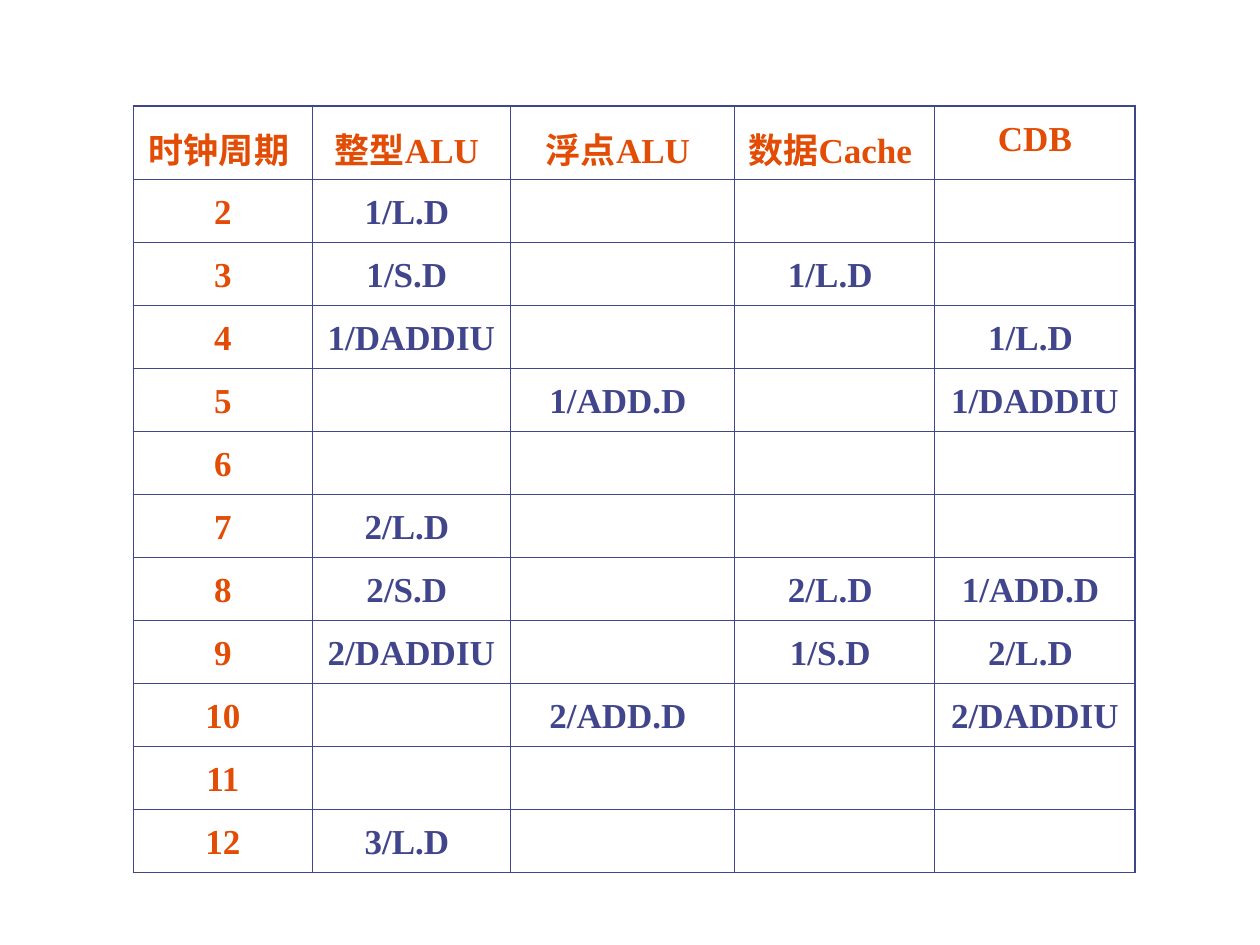
import pptx
import pptx.util
import pptx.dml.color
import pptx.enum.text
import pptx.oxml
import pptx.oxml.ns

HUES = {"label": "E24C05", "entry": "40458C", "line": "40458C"}
FONT = "Times New Roman"
COLS = [1.42, 1.57, 1.78, 1.59, 1.59]
ROW = 0.5
LEFT, TOP = 1.06, 0.84
THIN, THICK = 0.45, 1.08
HEADS = ["时钟周期 ", "整型ALU ", "浮点ALU ", "数据Cache ", "CDB"]
CYCLES = [
    ["2", "1/L.D ", "", "", ""],
    ["3", "1/S.D ", "", "1/L.D ", ""],
    ["4", "1/DADDIU ", "", "", "1/L.D "],
    ["5", "", "1/ADD.D ", "", "1/DADDIU "],
    ["6", "", "", "", ""],
    ["7", "2/L.D ", "", "", ""],
    ["8", "2/S.D ", "", "2/L.D ", "1/ADD.D "],
    ["9", "2/DADDIU ", "", "1/S.D ", "2/L.D "],
    ["10", "", "2/ADD.D ", "", "2/DADDIU "],
    ["11", "", "", "", ""],
    ["12", "3/L.D ", "", "", ""],
]


def write(frame, text, size=20, hue="entry", bold=True):
    para = frame.paragraphs[0]
    para.alignment = pptx.enum.text.PP_ALIGN.CENTER
    para.line_spacing = 1.2
    para.space_before = pptx.util.Pt(5)
    run = para.add_run()
    run.text = text
    run.font.name = FONT
    run.font.size = pptx.util.Pt(size)
    run.font.bold = bold
    run.font.color.rgb = pptx.dml.color.RGBColor.from_string(HUES[hue])


def edge(cell, widths):
    props = cell._tc.get_or_add_tcPr()
    for spot, (side, width) in enumerate(widths.items()):
        line = pptx.oxml.parse_xml(
            f'<a:ln{side} {pptx.oxml.ns.nsdecls("a")} w="{pptx.util.Pt(width)}">'
            f'<a:solidFill><a:srgbClr val="{HUES["line"]}"/></a:solidFill>'
            f'</a:ln{side}>'
        )
        props.insert(spot, line)


def grid(slide, rows):
    inch = pptx.util.Inches
    shape = slide.shapes.add_table(
        len(rows), len(COLS), inch(LEFT), inch(TOP),
        inch(sum(COLS)), inch(ROW * len(rows)),
    )
    table = shape.table
    table.first_row = table.horz_banding = False
    for col, width in zip(table.columns, COLS):
        col.width = inch(width)
    for r, row in enumerate(rows):
        table.rows[r].height = inch(ROW)
        for c, text in enumerate(row):
            cell = table.cell(r, c)
            cell.fill.background()
            edge(cell, {
                "L": THICK if c == 0 else THIN,
                "R": THICK if c == len(COLS) - 1 else THIN,
                "T": THICK if r == 0 else THIN,
                "B": THICK if r == len(rows) - 1 else THIN,
            })
            if text:
                hue = "label" if r == 0 or c == 0 else "entry"
                write(cell.text_frame, text, hue=hue)


def main():
    deck = pptx.Presentation()
    deck.slide_width = pptx.util.Inches(10)
    deck.slide_height = pptx.util.Inches(7.5)
    slide = deck.slides.add_slide(deck.slide_layouts[6])
    grid(slide, [HEADS] + CYCLES)
    deck.save("out.pptx")


if __name__ == "__main__":
    main()
